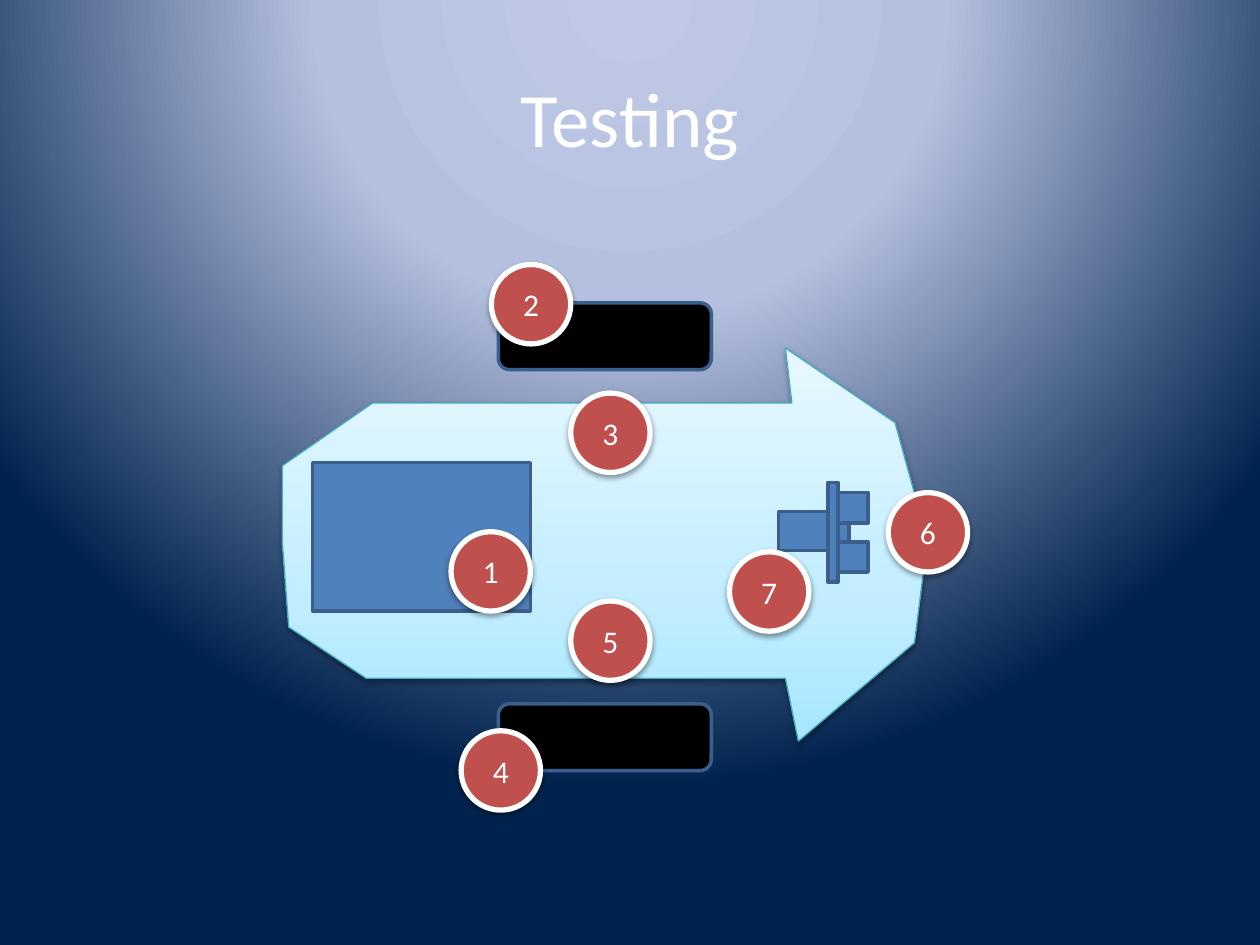
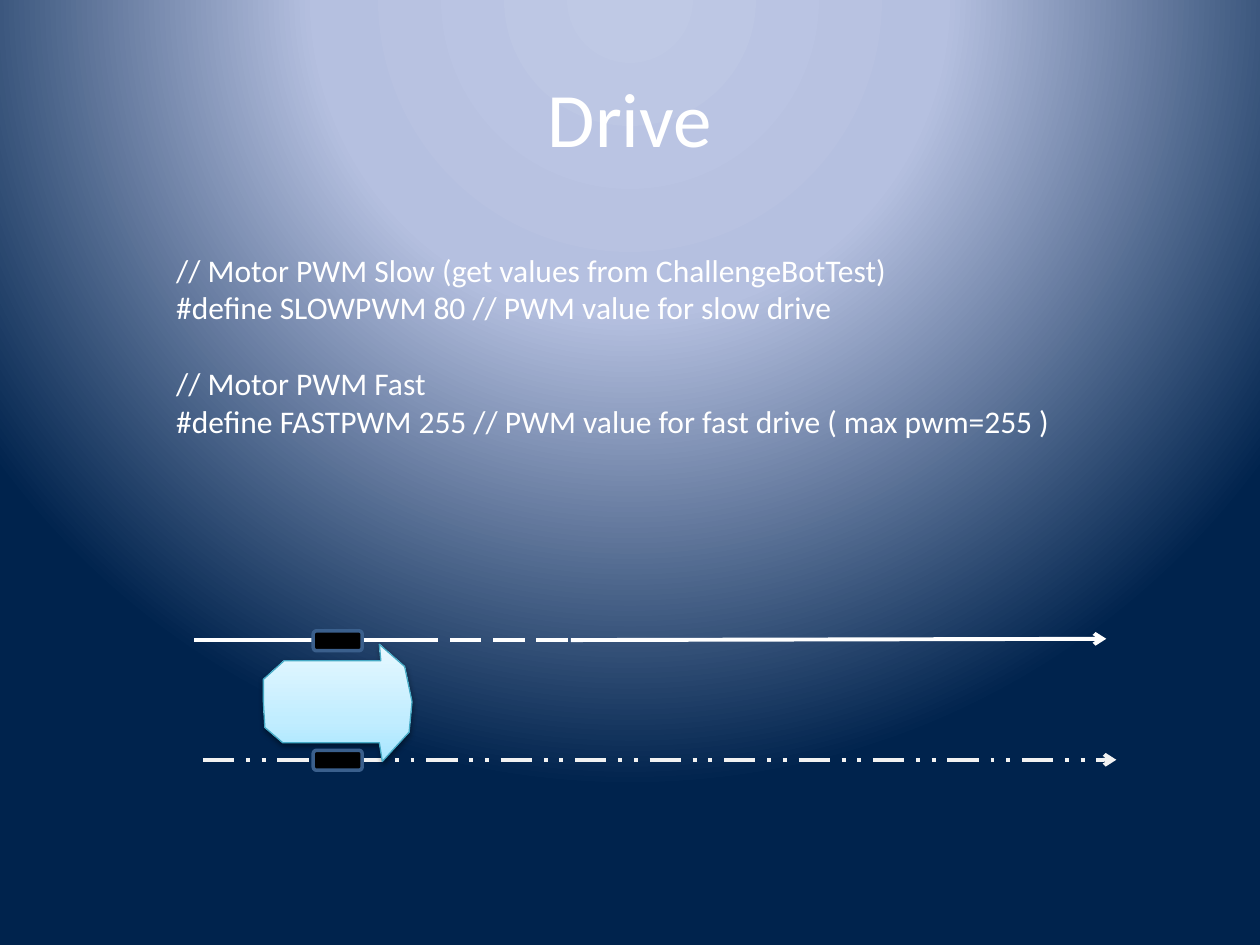
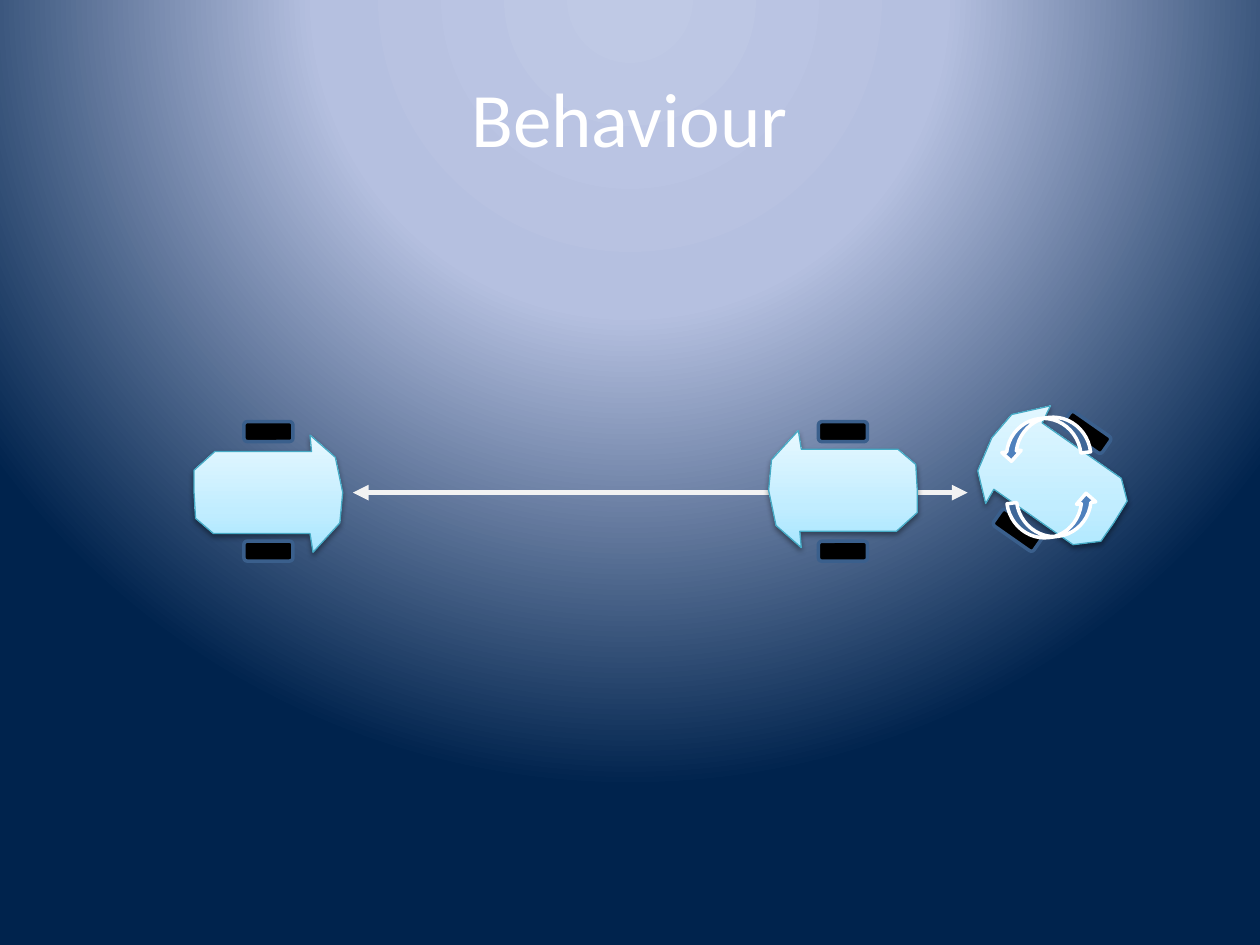
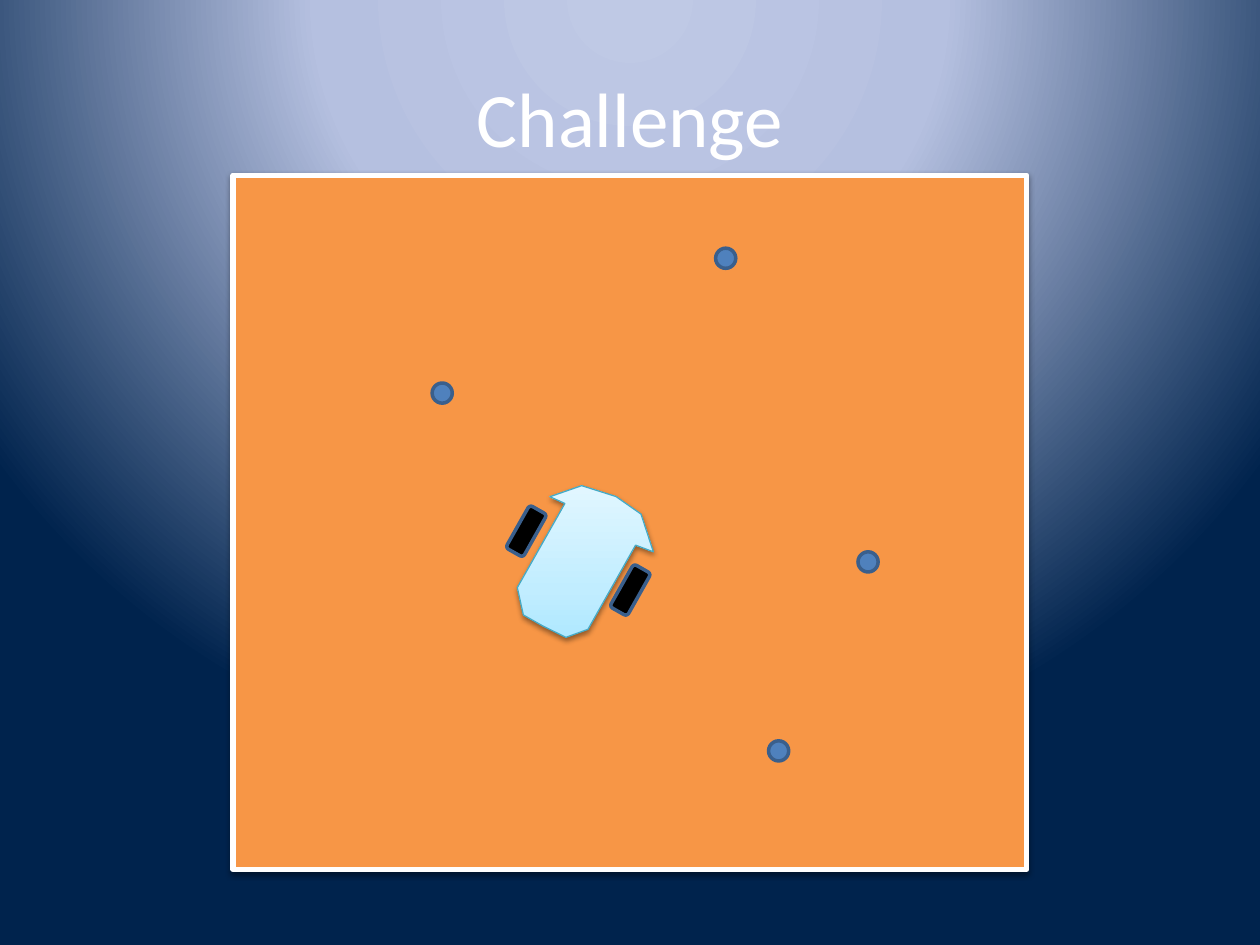
from lxml import etree
from pptx import Presentation
from pptx.dml.color import RGBColor
from pptx.enum import dml, shapes, text
from pptx.oxml import parse_xml
from pptx.oxml.ns import nsdecls, qn
from pptx.util import Inches, Pt

FONT = "Calibri"
COLORS = {
    "white": "FFFFFF", "pale": "F2F2F2", "blue": "4F81BD", "edge": "3A5F8C",
    "red": "C0504D", "orange": "F79646", "black": "000000", "body_edge": "46AAC5",
}
BACKDROP_STOPS = [(0, "BFC9E5"), (40, "B5C0E0"), (100, "00234D")]
BODY_STOPS = [(0, "A7E6FF"), (35, "C1EDFF"), (100, "E7F8FF")]
BACKDROP_SHADE = ('<a:path path="circle">'
                  '<a:fillToRect l="50000" t="-80000" r="50000" b="180000"/></a:path>')
BODY_SHADE = '<a:lin ang="16200000" scaled="1"/>'

# Robot outline facing up, as fractions of the body's width and height
BODY_OUTLINE = [
    (0.14, 0.86), (0.14, 0.21), (0, 0.22), (0.19, 0.05), (0.49, 0), (0.75, 0.02),
    (1, 0.2), (0.84, 0.22), (0.84, 0.87), (0.71, 0.99), (0.49, 1), (0.3, 1),
]
BADGE = 0.63
OBSTACLE = 0.16
OVAL = shapes.MSO_SHAPE.OVAL
RECT = shapes.MSO_SHAPE.RECTANGLE
WHEEL = shapes.MSO_SHAPE.ROUNDED_RECTANGLE
CURVED_ARROW = shapes.MSO_SHAPE.CURVED_UP_ARROW


def rgb(name):
    return RGBColor.from_string(COLORS[name])


def paint_gradient(fill, owner, stops, shade):
    """Give owner, the element that holds fill, a gradient of (percent, hex) stops."""
    fill.solid()
    solid = next(owner.iter(qn("a:solidFill")))
    stop_xml = "".join(f'<a:gs pos="{pos * 1000}"><a:srgbClr val="{color}"/></a:gs>'
                       for pos, color in stops)
    gradient = parse_xml(f'<a:gradFill {nsdecls("a")} rotWithShape="1">'
                         f'<a:gsLst>{stop_xml}</a:gsLst>{shade}</a:gradFill>')
    solid.getparent().replace(solid, gradient)


def set_outline(shape, color, width):
    shape.line.color.rgb = rgb(color)
    shape.line.width = Pt(width)


def set_shadow(shape, visible):
    shape.shadow.inherit = False
    if visible:
        effects = shape._element.spPr.find(qn("a:effectLst"))
        effects.append(parse_xml(
            f'<a:outerShdw {nsdecls("a")} blurRad="40000" dist="20000" dir="5400000" '
            'rotWithShape="0"><a:srgbClr val="000000"><a:alpha val="38000"/>'
            '</a:srgbClr></a:outerShdw>'))


def add_run(paragraph, words, size):
    run = paragraph.add_run()
    run.text = words
    run.font.name = FONT
    run.font.size = Pt(size)
    run.font.color.rgb = rgb("white")


def add_title(slide, words):
    frame = slide.shapes.add_textbox(Inches(0.5), Inches(0.3), Inches(9), Inches(1.25)).text_frame
    frame.word_wrap = True
    frame.vertical_anchor = text.MSO_ANCHOR.MIDDLE
    frame.paragraphs[0].alignment = text.PP_ALIGN.CENTER
    add_run(frame.paragraphs[0], words, 44)


def add_code(slide, blocks, left, top, width, height):
    """Write blocks of code lines, with one line's gap between blocks."""
    frame = slide.shapes.add_textbox(Inches(left), Inches(top), Inches(width), Inches(height)).text_frame
    frame.word_wrap = True
    paragraph = None
    for block in blocks:
        for number, line in enumerate(block):
            first = paragraph is None
            paragraph = frame.paragraphs[0] if first else frame.add_paragraph()
            if number == 0 and not first:
                paragraph.space_before = Pt(21.6)
            add_run(paragraph, line, 18)


def add_part(holder, kind, left, top, width, height,
             fill="blue", edge="edge", weight=2, shadow=False):
    part = holder.shapes.add_shape(kind, Inches(left), Inches(top), Inches(width), Inches(height))
    part.fill.solid()
    part.fill.fore_color.rgb = rgb(fill)
    set_outline(part, edge, weight)
    set_shadow(part, shadow)
    return part


def add_badge(slide, number, left, top):
    badge = add_part(slide, OVAL, left, top, BADGE, BADGE, "red", "white", 3, True)
    frame = badge.text_frame
    frame.vertical_anchor = text.MSO_ANCHOR.MIDDLE
    frame.paragraphs[0].alignment = text.PP_ALIGN.CENTER
    add_run(frame.paragraphs[0], str(number), 18)


def add_robot(slide, center_x, center_y, heading, width=0.93, height=1.18):
    """Draw a robot facing up around its centre, then turn it to heading degrees."""
    robot = slide.shapes.add_group_shape()
    left = center_x - 0.48 * width
    top = center_y - height / 2
    points = [(Inches(left + x * width), Inches(top + y * height)) for x, y in BODY_OUTLINE]
    builder = robot.shapes.build_freeform(*points[0])
    builder.add_line_segments(points[1:], close=True)
    body = builder.convert_to_shape()
    paint_gradient(body.fill, body._element.spPr, BODY_STOPS, BODY_SHADE)
    set_outline(body, "body_edge", 0.75)
    set_shadow(body, True)

    wheel_width, wheel_height = 0.17 * width, 0.33 * height
    for side in (1, -1):
        wheel_x = center_x + side * 0.51 * width
        add_part(robot, WHEEL, wheel_x - wheel_width / 2, center_y - wheel_height / 2,
                 wheel_width, wheel_height, "black")
    robot.rotation = heading


def add_track(slide, start, end, color="white", weight=2.25, dash=None, head=None, tail=None):
    track = slide.shapes.add_connector(shapes.MSO_CONNECTOR.STRAIGHT,
                                       *map(Inches, start), *map(Inches, end))
    set_outline(track, color, weight)
    if dash:
        track.line.dash_style = dash
    line = track._element.spPr.find(qn("a:ln"))
    for tag, arrow in (("a:headEnd", head), ("a:tailEnd", tail)):
        if arrow:
            etree.SubElement(line, qn(tag)).set("type", arrow)
    etree.SubElement(track._element.spPr, qn("a:effectLst"))


def add_turn_arrow(slide, left, top, angle, flipped=False):
    arrow = add_part(slide, CURVED_ARROW, left, top, 0.71, 0.31, edge="white")
    arrow.rotation = angle
    if flipped:
        for axis in ("flipH", "flipV"):
            arrow._element.spPr.find(qn("a:xfrm")).set(axis, "1")


def build_testing(slide):
    add_title(slide, "Testing")
    add_robot(slide, 4.8, 4.26, 90, 3.12, 5.12)
    for number, left, top in ((3, 4.53, 3.12), (4, 3.66, 5.8), (5, 4.53, 4.77), (6, 7.05, 3.91)):
        add_badge(slide, number, left, top)
    add_part(slide, RECT, 2.48, 3.67, 1.73, 1.18)
    add_badge(slide, 1, 3.58, 4.22)
    add_badge(slide, 2, 3.9, 2.1)
    sensor = [(6.18, 4.06, 0.56, 0.31), (6.65, 3.91, 0.24, 0.24),
              (6.65, 4.3, 0.24, 0.24), (6.57, 3.83, 0.08, 0.79)]
    for box in sensor:
        add_part(slide, RECT, *box)
    add_badge(slide, 7, 5.79, 4.38)


def build_drive(slide):
    add_track(slide, (1.54, 5.08), (3.27, 5.08))
    add_title(slide, "Drive")
    add_code(slide, [
        ["// Motor PWM Slow (get values from ChallengeBotTest)",
         "#define SLOWPWM 80 // PWM value for slow drive"],
        ["// Motor PWM Fast",
         "#define FASTPWM 255 // PWM value for fast drive ( max pwm=255 )"],
    ], 1.3, 1.94, 7.72, 1.62)
    add_track(slide, (4.53, 5.08), (8.78, 5.07), tail="arrow")
    add_track(slide, (1.61, 6.03), (8.86, 6.03), "pale",
              dash=dml.MSO_LINE.DASH_DOT_DOT, tail="arrow")
    add_robot(slide, 2.68, 5.56, 90)
    add_track(slide, (3.23, 5.08), (5.16, 5.08), dash=dml.MSO_LINE.LONG_DASH)


def build_behaviour(slide):
    add_title(slide, "Behaviour")
    add_robot(slide, 2.13, 3.9, 90)
    add_track(slide, (2.8, 3.91), (7.68, 3.91), "pale", 3, head="triangle", tail="triangle")
    add_robot(slide, 8.35, 3.82, 305)
    add_turn_arrow(slide, 8.01, 3.95, 352.4)
    add_turn_arrow(slide, 7.93, 3.32, 353.2, flipped=True)
    add_robot(slide, 6.69, 3.9, 270)


def build_challenge(slide):
    add_title(slide, "Challenge")
    add_part(slide, RECT, 1.85, 1.39, 6.3, 5.51, "orange", "white", 3, True)
    for left, top in ((5.68, 1.97), (3.43, 3.04), (6.81, 4.38), (6.1, 5.88)):
        add_part(slide, OVAL, left, top, OBSTACLE, OBSTACLE)
    add_robot(slide, 4.59, 4.45, 29.5)


def main():
    deck = Presentation()
    deck.slide_width, deck.slide_height = Inches(10), Inches(7.5)
    master = deck.slide_master
    paint_gradient(master.background.fill, master._element.cSld, BACKDROP_STOPS, BACKDROP_SHADE)
    for build in (build_testing, build_drive, build_behaviour, build_challenge):
        build(deck.slides.add_slide(deck.slide_layouts[6]))
    deck.save("out.pptx")


if __name__ == "__main__":
    main()
